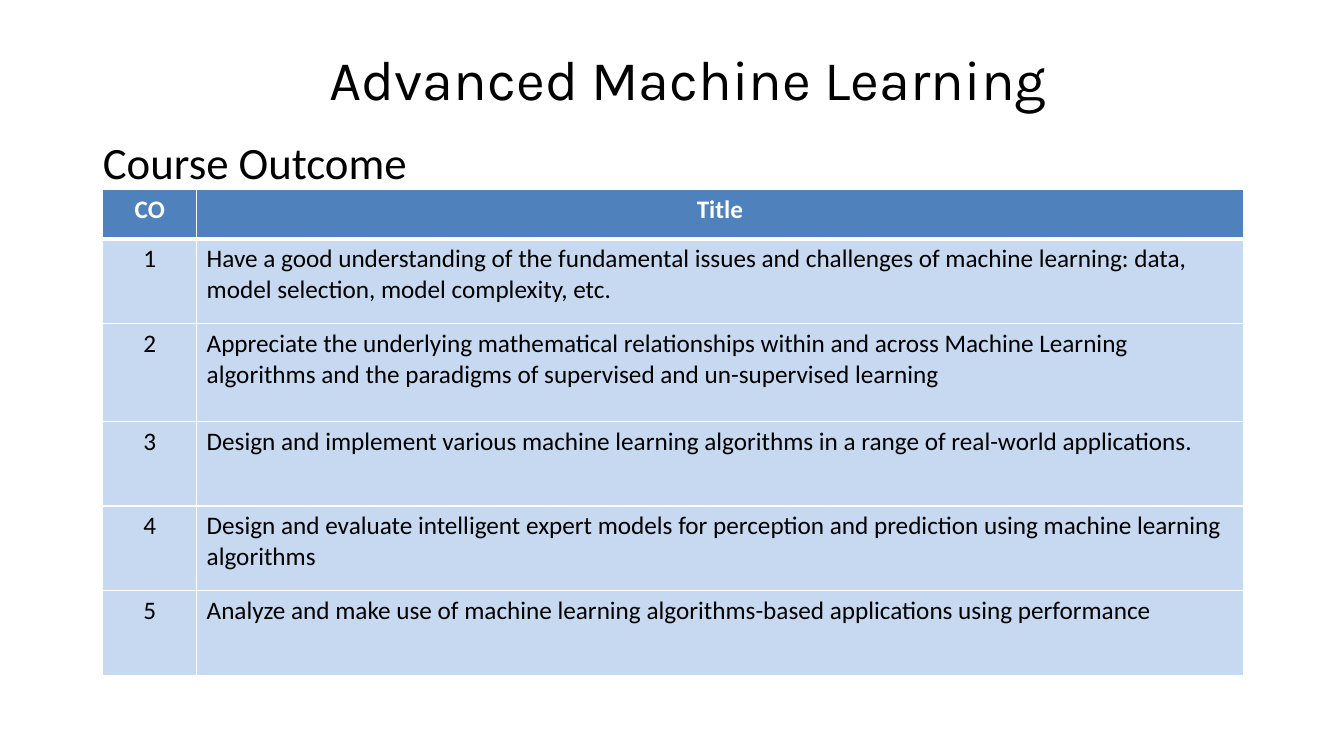
from pptx import Presentation
from pptx.dml.color import RGBColor
from pptx.enum import text
from pptx.oxml import parse_xml
from pptx.oxml.ns import nsdecls
from pptx.util import Inches, Pt


def put(frame, words, size, font, color, bold=False, align=text.PP_ALIGN.LEFT):
    par = frame.paragraphs[0]
    par.alignment = align
    run = par.add_run()
    run.text = words
    run.font.size = Pt(size)
    run.font.name = font
    run.font.bold = bold
    run.font.color.rgb = RGBColor.from_string(color)


def edge(cell, side, width, color):
    line = parse_xml(
        f'<a:{side} {nsdecls("a")} w="{Pt(width)}"><a:solidFill>'
        f'<a:srgbClr val="{color}"/></a:solidFill></a:{side}>')
    cell._tc.get_or_add_tcPr().append(line)


deck = Presentation()
deck.slide_width, deck.slide_height = Inches(13.33), Inches(7.5)
slide = deck.slides.add_slide(deck.slide_layouts[6])

# Title
title = slide.shapes.add_textbox(Inches(3.17), Inches(0.39), Inches(7.33), Inches(0.77))
title.text_frame.word_wrap = False
put(title.text_frame, "Advanced Machine Learning", 40, "Karla", "000000")

# Subtitle
sub = slide.shapes.add_textbox(Inches(1.02), Inches(1.34), Inches(4.08), Inches(0.54))
frame = sub.text_frame
frame.word_wrap = True
frame.margin_left = frame.margin_top = frame.margin_right = frame.margin_bottom = 0
put(frame, "Course Outcome", 32, "Calibri", "000000")

# Table of outcomes
goals = [
    "Have a good understanding of the fundamental issues and challenges of machine learning: data, model selection, model complexity, etc.",
    "Appreciate the underlying mathematical relationships within and across Machine Learning algorithms and the paradigms of supervised and un-supervised learning",
    "Design and implement various machine learning algorithms in a range of real-world applications.",
    "Design and evaluate intelligent expert models for perception and prediction using machine learning algorithms",
    "Analyze and make use of machine learning algorithms-based applications using performance",
]
rows = [("CO", "Title")] + [(str(n), goal) for n, goal in enumerate(goals, 1)]
table = slide.shapes.add_table(
    len(rows), 2, Inches(1.02), Inches(1.88), Inches(11.31), Inches(4.81)).table
for col, width in zip(table.columns, (0.93, 10.38)):
    col.width = Inches(width)
for row, height in zip(table.rows, (0.49, 0.84, 0.97, 0.84, 0.84, 0.84)):
    row.height = Inches(height)

# Cells: white rules, thicker under the header
for r, row in enumerate(rows):
    head = r == 0
    for c, words in enumerate(row):
        cell = table.cell(r, c)
        for side in ("lnL", "lnR", "lnT", "lnB"):
            thick = (r, side) in ((0, "lnB"), (1, "lnT"))
            edge(cell, side, 3 if thick else 1, "FFFFFF")
        cell.fill.solid()
        cell.fill.fore_color.rgb = RGBColor.from_string("4F81BD" if head else "C6D9F1")
        mid = head or c == 0
        put(cell.text_frame, words, 18, "Calibri", "FFFFFF" if head else "000000",
            head, text.PP_ALIGN.CENTER if mid else text.PP_ALIGN.LEFT)

deck.save("out.pptx")
